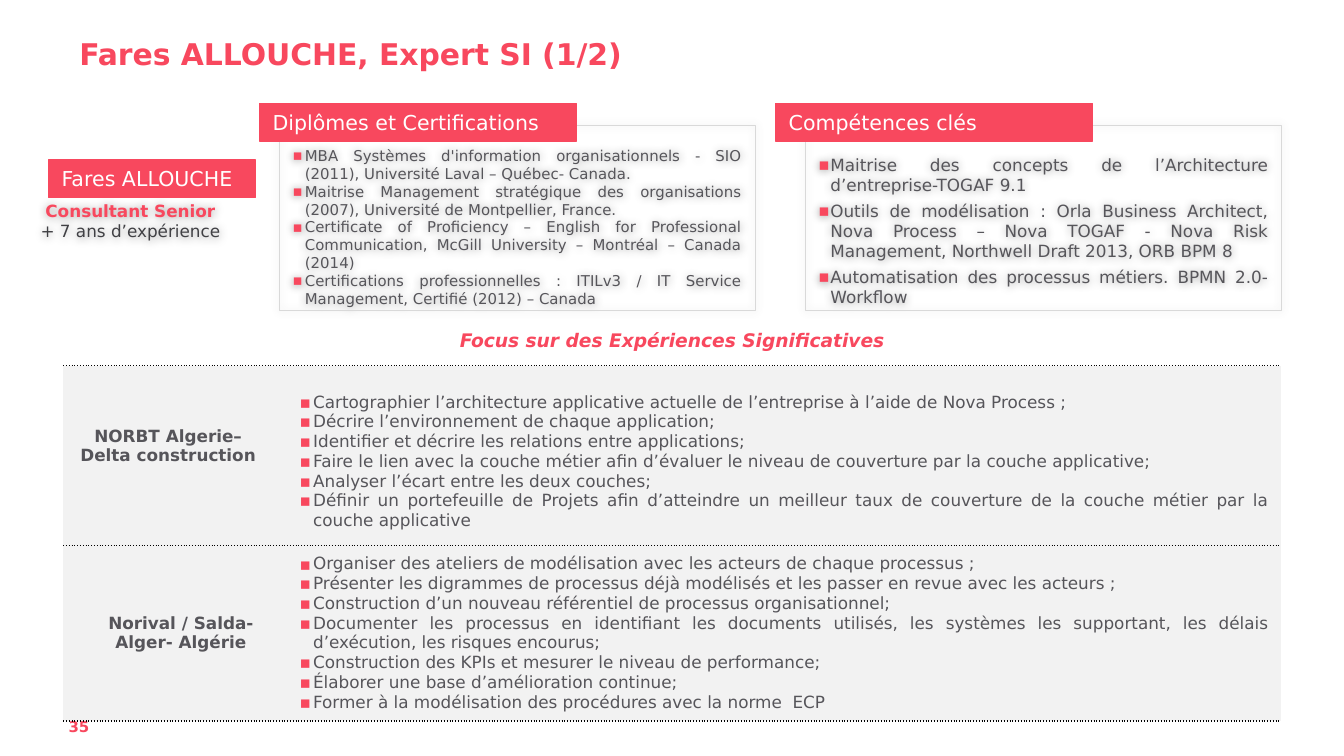
from dataclasses import dataclass

from lxml import etree
from pptx import Presentation
from pptx.dml.color import RGBColor
from pptx.enum.shapes import MSO_SHAPE
from pptx.enum.text import MSO_ANCHOR, MSO_AUTO_SIZE, PP_ALIGN
from pptx.oxml.ns import qn
from pptx.util import Inches, Pt

RECTANGLE = MSO_SHAPE.RECTANGLE
TOP, MIDDLE, BOTTOM = MSO_ANCHOR.TOP, MSO_ANCHOR.MIDDLE, MSO_ANCHOR.BOTTOM
LEFT, CENTER, JUSTIFY = PP_ALIGN.LEFT, PP_ALIGN.CENTER, PP_ALIGN.JUSTIFY
NO_AUTOFIT = MSO_AUTO_SIZE.NONE
SLIDE_WIDTH = Inches(10)
SLIDE_HEIGHT = SLIDE_WIDTH * 9 // 16


@dataclass(frozen=True)
class Theme:
    font: str = "DejaVu Sans"
    accent: str = "F8485E"
    body: str = "56555A"
    dark: str = "404044"
    white: str = "FFFFFF"
    outline: str = "D9D9D9"
    band: str = "F2F2F2"
    black: str = "000000"
    title_size: int = 16
    tag_size: int = 11
    focus_size: int = 10
    body_size: int = 9
    small_size: int = 8


THEME = Theme()

DIPLOMAS = [
    "MBA Systèmes d'information organisationnels - SIO (2011), Université Laval – Québec- Canada.",
    "Maitrise Management stratégique des organisations (2007), Université de Montpellier, France.",
    "Certificate of Proficiency – English for Professional Communication, "
    "McGill University – Montréal – Canada (2014)",
    "Certifications professionnelles : ITILv3 / IT Service Management, Certifié (2012) – Canada",
]
SKILLS = [
    "Maitrise des concepts de l’Architecture d’entreprise-TOGAF 9.1",
    "Outils de modélisation : Orla Business Architect, Nova Process – Nova TOGAF - Nova Risk "
    "Management, Northwell Draft 2013, ORB BPM 8",
    "Automatisation des processus métiers. BPMN 2.0- Workflow",
]
MISSIONS = [
    {
        "client": "NORBT Algerie–Delta construction",
        "client_format": {"margin_bottom": Inches(0.19)},
        "indent": 0,
        "tasks": [
            "Cartographier l’architecture applicative actuelle de l’entreprise à l’aide de Nova Process ;",
            "Décrire l’environnement de chaque application;",
            "Identifier et décrire les relations entre applications;",
            "Faire le lien avec la couche métier afin d’évaluer le niveau de couverture "
            "par la couche applicative;",
            "Analyser l’écart entre les deux couches;",
            "Définir un portefeuille de Projets afin d’atteindre un meilleur taux de couverture "
            "de la couche métier par la couche applicative",
        ],
        "tasks_format": {"vertical_anchor": TOP, "margin_top": Inches(0.2)},
    },
    {
        "client": "Norival / Salda- Alger- Algérie",
        "client_format": {},
        "indent": 0.19,
        "tasks": [
            "Organiser des ateliers de modélisation avec les acteurs de chaque processus ;",
            "Présenter les digrammes de processus déjà modélisés et les passer en revue avec les acteurs ;",
            "Construction d’un nouveau référentiel de processus organisationnel;",
            "Documenter les processus en identifiant les documents utilisés, les systèmes "
            "les supportant, les délais d’exécution, les risques encourus;",
            "Construction des KPIs et mesurer le niveau de performance;",
            "Élaborer une base d’amélioration continue;",
            "Former à la modélisation des procédures avec la norme  ECP",
        ],
        "tasks_format": {},
    },
]


def apply_format(target, values):
    for name, value in values.items():
        setattr(target, name, value)


def add_element(parent, tag, **attributes):
    return etree.SubElement(parent, qn(tag), attributes)


def set_indent(paragraph, left, first=0):
    properties = paragraph._p.get_or_add_pPr()
    properties.set("marL", str(Inches(left)))
    properties.set("indent", str(Inches(first)))
    return properties


def write_paragraph(paragraph, text, size, color, align=LEFT, **font_format):
    paragraph.alignment = align
    run = paragraph.add_run()
    run.text = text
    apply_format(run.font, {"name": THEME.font, "size": Pt(size), **font_format})
    run.font.color.rgb = RGBColor.from_string(color)


def write_bullets(frame, items, size, left, hanging, gap=0):
    for index, item in enumerate(items):
        paragraph = frame.add_paragraph() if index else frame.paragraphs[0]
        properties = set_indent(paragraph, left, -hanging)
        bullet_color = add_element(properties, "a:buClr")
        add_element(bullet_color, "a:srgbClr", val=THEME.accent)
        add_element(properties, "a:buFont", typeface=THEME.font)
        add_element(properties, "a:buChar", char="▪")
        if index and gap:
            paragraph.space_before = Pt(gap)
        write_paragraph(paragraph, item, size, THEME.body, JUSTIFY)


def add_glow_shadow(shape):
    shape.shadow.inherit = False
    effects = shape._element.spPr.find(qn("a:effectLst"))
    shadow = add_element(effects, "a:outerShdw", blurRad=str(Pt(5)), dist="0", dir="0")
    color = add_element(shadow, "a:srgbClr", val=THEME.black)
    add_element(color, "a:alpha", val="40000")


def add_title(slide, text):
    title = slide.shapes.title
    apply_format(title, {"left": Inches(0.51), "top": Inches(0),
                         "width": Inches(8.98), "height": Inches(0.53)})
    apply_format(title.text_frame, {
        "auto_size": NO_AUTOFIT, "vertical_anchor": BOTTOM, "margin_left": Inches(0.08),
        "margin_right": 0, "margin_top": 0, "margin_bottom": 0})
    write_paragraph(title.text_frame.paragraphs[0], text, THEME.title_size, THEME.accent, bold=True)


def add_text(slide, box, lines, **frame_format):
    shape = slide.shapes.add_textbox(*map(Inches, box))
    frame = shape.text_frame
    apply_format(frame, {"word_wrap": True, **frame_format})
    for index, line in enumerate(lines):
        paragraph = frame.add_paragraph() if index else frame.paragraphs[0]
        write_paragraph(paragraph, **line)
    return shape


def add_tag(slide, box, text):
    shape = slide.shapes.add_shape(RECTANGLE, *map(Inches, box))
    shape.shadow.inherit = False
    shape.fill.solid()
    shape.fill.fore_color.rgb = RGBColor.from_string(THEME.accent)
    shape.line.color.rgb = RGBColor.from_string(THEME.accent)
    shape.line.width = Pt(0.75)
    shape.text_frame.vertical_anchor = MIDDLE
    write_paragraph(shape.text_frame.paragraphs[0], text, THEME.tag_size, THEME.white)


def add_card(slide, left, items, size, top_margin, gap=0):
    shape = slide.shapes.add_shape(RECTANGLE, *map(Inches, (left, 0.93, 3.54, 1.38)))
    shape.fill.background()
    shape.line.color.rgb = RGBColor.from_string(THEME.outline)
    shape.line.width = Pt(0.25)
    add_glow_shadow(shape)
    apply_format(shape.text_frame, {"vertical_anchor": TOP, "margin_top": Inches(top_margin)})
    write_bullets(shape.text_frame, items, size, 0.09, 0.09, gap)


def style_cell(cell, **cell_format):
    apply_format(cell, {"vertical_anchor": MIDDLE, **cell_format})
    properties = cell._tc.get_or_add_tcPr()
    for side in ("a:lnL", "a:lnR"):
        add_element(add_element(properties, side, w="0"), "a:noFill")
    for side in ("a:lnT", "a:lnB"):
        border = add_element(properties, side, w=str(Pt(1)))
        fill = add_element(border, "a:solidFill")
        add_element(fill, "a:srgbClr", val=THEME.black)
        add_element(border, "a:prstDash", val="sysDot")
    cell.fill.solid()
    cell.fill.fore_color.rgb = RGBColor.from_string(THEME.band)


def add_mission_table(slide):
    box = map(Inches, (0.47, 2.72, 9.06, 2.64))
    table = slide.shapes.add_table(len(MISSIONS), 2, *box).table
    apply_format(table, {"first_row": False, "horz_banding": False})
    for column, width in zip(table.columns, (1.56, 7.5)):
        column.width = Inches(width)
    for row, height, mission in zip(table.rows, (1.34, 1.3), MISSIONS):
        row.height = Inches(height)
        client, tasks = row.cells
        style_cell(client, **mission["client_format"])
        paragraph = client.text_frame.paragraphs[0]
        set_indent(paragraph, mission["indent"])
        write_paragraph(paragraph, mission["client"], THEME.body_size, THEME.body, CENTER, bold=True)
        style_cell(tasks, **mission["tasks_format"])
        write_bullets(tasks.text_frame, mission["tasks"], THEME.body_size, 0.2, 0.1)


def main():
    presentation = Presentation()
    apply_format(presentation, {"slide_width": SLIDE_WIDTH, "slide_height": SLIDE_HEIGHT})
    slide = presentation.slides.add_slide(presentation.slide_layouts[5])

    add_title(slide, "Fares ALLOUCHE, Expert SI (1/2)")
    add_text(slide, (0.51, 5.29, 0.71, 0.33),
             [{"text": "35", "size": THEME.small_size, "color": THEME.accent, "bold": True}],
             margin_left=0, margin_right=0)
    add_card(slide, 2.08, DIPLOMAS, THEME.small_size, 0.16)
    add_card(slide, 5.99, SKILLS, THEME.body_size, 0.22, gap=3)
    add_text(slide, (2.6, 2.4, 4.8, 0.26),
             [{"text": "Focus sur des Expériences Significatives", "size": THEME.focus_size,
               "color": THEME.accent, "align": CENTER, "bold": True, "italic": True}])
    profile = add_text(slide, (-0.16, 1.43, 2.32, 0.43), [
        {"text": "Consultant Senior", "size": THEME.body_size, "color": THEME.accent,
         "align": CENTER, "bold": True},
        {"text": "+ 7 ans d’expérience", "size": THEME.body_size, "color": THEME.dark,
         "align": CENTER},
    ], vertical_anchor=MIDDLE, margin_right=Inches(0.16))
    add_glow_shadow(profile)
    add_tag(slide, (1.93, 0.77, 2.36, 0.28), "Diplômes et Certifications")
    add_tag(slide, (5.77, 0.77, 2.36, 0.28), "Compétences clés")
    add_tag(slide, (0.36, 1.19, 1.54, 0.28), "Fares ALLOUCHE")
    add_mission_table(slide)

    presentation.save("out.pptx")


if __name__ == "__main__":
    main()
